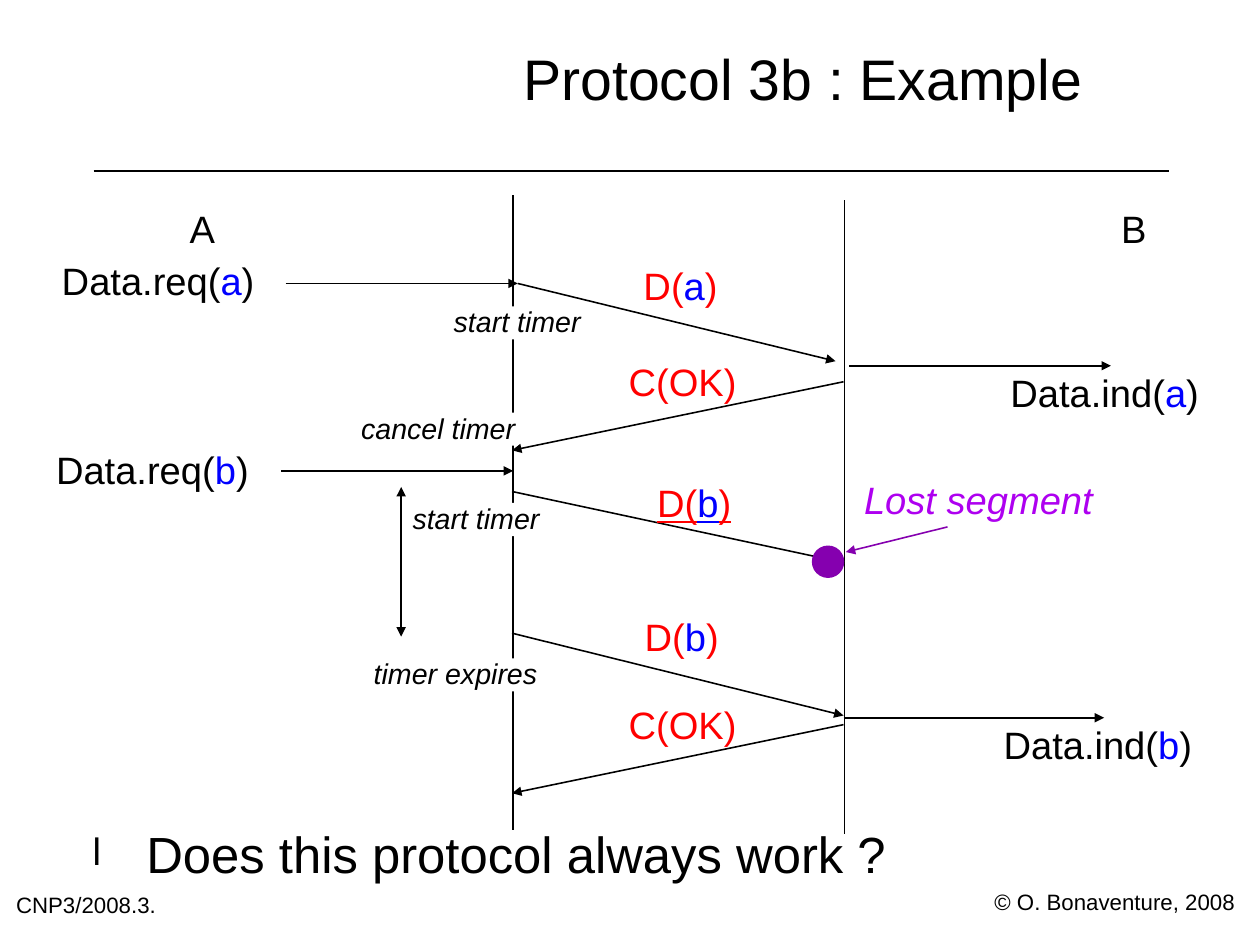
from dataclasses import dataclass

import pptx
import pptx.dml.color
import pptx.enum.shapes
import pptx.enum.text
import pptx.oxml.ns
import pptx.util
from lxml import etree


@dataclass(frozen=True)
class Theme:
    font: str = "Arial"
    ink: str = "000000"
    paper: str = "FFFFFF"
    payload: str = "0000FF"
    segment: str = "FF0000"
    loss: str = "8500AF"
    loss_text: str = "AE00F0"
    title: int = 36
    question: int = 32
    label: int = 24
    timer: int = 18
    footer: int = 14
    stroke: int = 1
    tight: float = 0.84
    loose: float = 0.97


THEME = Theme()
CELL = 0.1
SENDER, RECEIVER = 44.9, 73.9
SEGMENT_HEIGHT = 3.4
TIMER_HEIGHT = 2.9


def grid(cells):
    return pptx.util.Inches(cells * CELL)


def rgb(value):
    return pptx.dml.color.RGBColor.from_string(value)


def add_xml(parent, tag, **attributes):
    return etree.SubElement(parent, pptx.oxml.ns.qn(tag), attributes)


def write(frame, text, size=THEME.label, color=THEME.ink, spacing=THEME.tight,
          italic=False, underline=False, centred=False, bullet=None):
    frame.margin_left = frame.margin_right = frame.margin_top = frame.margin_bottom = 0
    paragraph = frame.paragraphs[0]
    align = pptx.enum.text.PP_ALIGN
    paragraph.alignment = align.CENTER if centred else align.LEFT
    paragraph.line_spacing = spacing
    if bullet:
        properties = paragraph._p.get_or_add_pPr()
        indent = grid(4.7)
        properties.set("marL", str(indent))
        properties.set("indent", str(-indent))
        add_xml(add_xml(properties, "a:buClr"), "a:srgbClr", val=color)
        add_xml(properties, "a:buSzPct", val="75000")
        add_xml(properties, "a:buFont", typeface=THEME.font)
        add_xml(properties, "a:buChar", char=bullet)
    for index, piece in enumerate(text.split("|")):
        run = paragraph.add_run()
        run.text = piece
        run.font.name = THEME.font
        run.font.size = pptx.util.Pt(size)
        run.font.italic = italic
        run.font.underline = underline
        run.font.color.rgb = rgb(THEME.payload if index % 2 else color)


class SequenceSlide:
    def __init__(self, deck, theme):
        self.theme = theme
        self.shapes = deck.slides.add_slide(deck.slide_layouts[6]).shapes

    def line(self, start, end, color=None, head=False, tail=False):
        connector = self.shapes.add_connector(
            pptx.enum.shapes.MSO_CONNECTOR.STRAIGHT,
            *(grid(value) for value in (*start, *end)))
        connector.line.color.rgb = rgb(color or self.theme.ink)
        connector.line.width = pptx.util.Pt(self.theme.stroke)
        properties = connector.element.spPr
        outline = properties.find(pptx.oxml.ns.qn("a:ln"))
        if head:
            add_xml(outline, "a:headEnd", type="triangle")
        if tail:
            add_xml(outline, "a:tailEnd", type="triangle")
        add_xml(properties, "a:effectLst")

    def arrow(self, start, end, **style):
        self.line(start, end, tail=True, **style)

    def text(self, area, words, wrap=False, middle=False, fill=None, **style):
        box = self.shapes.add_textbox(*(grid(value) for value in area))
        if fill:
            box.fill.solid()
            box.fill.fore_color.rgb = rgb(fill)
        frame = box.text_frame
        frame.word_wrap = wrap
        sizing = pptx.enum.text.MSO_AUTO_SIZE
        frame.auto_size = sizing.NONE if wrap else sizing.SHAPE_TO_FIT_TEXT
        anchor = pptx.enum.text.MSO_ANCHOR
        frame.vertical_anchor = anchor.MIDDLE if middle else anchor.TOP
        write(frame, words, **style)

    def label(self, column, row, width, words, **style):
        self.text((column, row, width, SEGMENT_HEIGHT), words, **style)

    def timer(self, column, row, width, words):
        self.text((column, row, width, TIMER_HEIGHT), words, fill=self.theme.paper,
                  size=self.theme.timer, spacing=self.theme.loose, italic=True)

    def dot(self, column, row, diameter, color):
        mark = self.shapes.add_shape(
            pptx.enum.shapes.MSO_SHAPE.OVAL,
            *(grid(value) for value in (column, row, diameter, diameter)))
        mark.shadow.inherit = False
        mark.fill.solid()
        mark.fill.fore_color.rgb = rgb(color)
        mark.line.color.rgb = rgb(color)
        mark.line.width = pptx.util.Pt(self.theme.stroke)


def draw_frame(slide):
    slide.line((8.2, 14.95), (102.3, 14.95))
    slide.text((87, 78.1, 21.2, 2), "© O. Bonaventure, 2008", size=THEME.footer)
    slide.text((1.4, 78.4, 16.8, 2.4), "CNP3/2008.3.", wrap=True, size=THEME.footer)
    slide.text((37.3, 0, 65.9, 14.6), "Protocol 3b : Example", wrap=True, middle=True,
               size=THEME.title, centred=True)
    slide.text((8.1, 72.8, 94.1, 9.7), "Does this protocol always work ?", wrap=True,
               size=THEME.question, bullet="l")


def draw_hosts(slide):
    slide.line((SENDER, 17.1), (SENDER, 72.6))
    slide.line((RECEIVER, 17.5), (RECEIVER, 73))
    for host, column in (("A", 16.6), ("B", 98.1)):
        slide.label(column, 18.6, 2.3, host)


def draw_primitives(slide):
    for payload, start, end, row, column, label_row in (
            ("a", 25, 45.3, 24.8, 5.4, 23.2), ("b", 24.6, SENDER, 41.2, 4.9, 39.7)):
        slide.arrow((start, row), (end, row))
        slide.label(column, label_row, 16.9, f"Data.req(|{payload}|)")
    for payload, start, end, row, column in (
            ("a", 74.3, 97.2, 32, 88.4), ("b", 73.8, 96.6, 62.8, 87.8)):
        slide.arrow((start, row), (end, row))
        slide.label(column, row + 1, 16.5, f"Data.ind(|{payload}|)")


def draw_segments(slide):
    for payload, start, end, column, row, lost in (
            ("a", (45.3, 24.8), (73.1, 31.6), 56.3, 23.6, False),
            ("b", (44.8, 43), (73.7, 49.2), 57.5, 42.6, True),
            ("b", (44.8, 55.4), (73.8, 62.6), 56.4, 54.3, False)):
        slide.arrow(start, end)
        slide.label(column, row, 6.5, f"D(|{payload}|)",
                    color=THEME.segment, underline=lost)
    for row in (33.4, 63.4):
        slide.arrow((73.8, row), (44.8, row + 6))
        slide.label(55, row - 1.4, 9.5, "C(OK)", color=THEME.segment)


def draw_loss(slide):
    slide.arrow((82.9, 46.1), (74, 48.3), color=THEME.loss)
    slide.label(75.6, 41.9, 20.4, "Lost segment", color=THEME.loss_text,
                spacing=THEME.loose, italic=True)
    slide.dot(71.1, 47.8, 2.7, THEME.loss)


def draw_timers(slide):
    slide.line((35.1, 42.6), (35.1, 55.7), head=True, tail=True)
    for column, row, width, event in (
            (39.7, 26.8, 11.4, "start timer"), (31.6, 36.1, 13.7, "cancel timer"),
            (36.1, 44, 11.4, "start timer"), (32.7, 57.6, 14.6, "timer expires")):
        slide.timer(column, row, width, event)


def main():
    deck = pptx.Presentation()
    deck.slide_width = pptx.util.Cm(28)
    deck.slide_height = pptx.util.Cm(21)
    slide = SequenceSlide(deck, THEME)
    for draw in (draw_frame, draw_hosts, draw_primitives, draw_segments,
                 draw_loss, draw_timers):
        draw(slide)
    deck.save("out.pptx")


if __name__ == "__main__":
    main()
